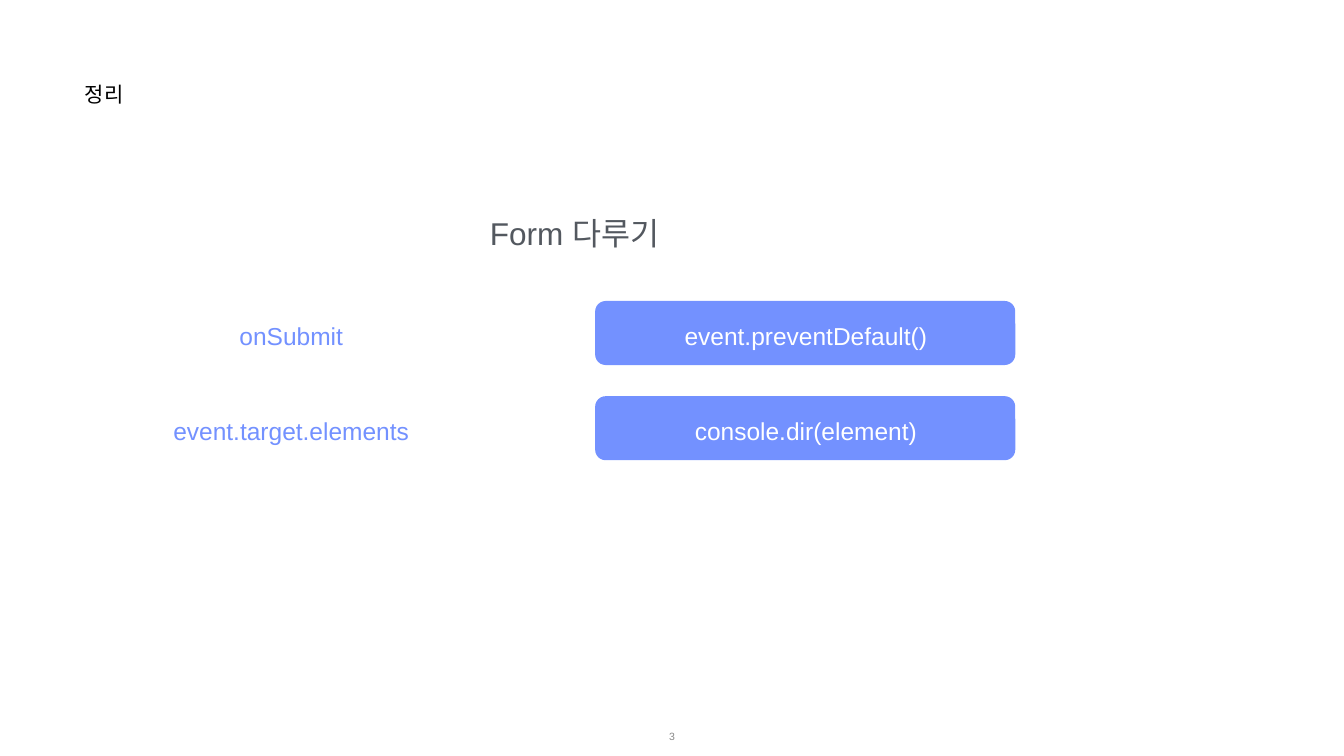
from lxml.etree import SubElement
from pptx import Presentation
from pptx.dml.color import RGBColor
from pptx.enum.shapes import MSO_SHAPE
from pptx.enum.text import MSO_ANCHOR, PP_ALIGN
from pptx.oxml.ns import qn
from pptx.util import Pt

COLORS = {
    "title": "000000",
    "heading": "53585F",
    "accent": "7391FF",
    "white": "FFFFFF",
    "number": "888888",
}
ROWS = [
    ("onSubmit", "event.preventDefault()"),
    ("event.target.elements", "console.dir(element)"),
]
ROW_PITCH = 136


def write(shape, text, size, color, align=PP_ALIGN.CENTER, anchor=MSO_ANCHOR.MIDDLE):
    """Set one paragraph of text in a shape and return the paragraph."""
    frame = shape.text_frame
    frame.word_wrap = True
    frame.vertical_anchor = anchor
    frame.margin_left = frame.margin_right = Pt(1)
    frame.margin_top = frame.margin_bottom = Pt(1)
    frame.text = text
    para = frame.paragraphs[0]
    para.alignment = align
    para.font.name = "Arial"
    para.font.size = Pt(size)
    para.font.bold = False
    para.font.color.rgb = RGBColor.from_string(COLORS[color])
    return para


def add_label(page, box, text, size, color, anchor=MSO_ANCHOR.MIDDLE):
    """Add a centred text box and return its paragraph."""
    label = page.shapes.add_textbox(*map(Pt, box))
    return write(label, text, size, color, anchor=anchor)


def place_title(page, box):
    """Move and format the title placeholder."""
    title = page.shapes.title
    title.left, title.top, title.width, title.height = map(Pt, box)
    para = write(title, "정리", 30, "title", PP_ALIGN.LEFT, MSO_ANCHOR.TOP)
    para.space_before = Pt(0)


def add_button(page, box, text):
    """Add a filled rounded button with its caption."""
    button = page.shapes.add_shape(MSO_SHAPE.ROUNDED_RECTANGLE, *map(Pt, box))
    button.adjustments[0] = 0.164
    button.shadow.inherit = False
    button.fill.solid()
    button.fill.fore_color.rgb = RGBColor.from_string(COLORS["accent"])
    button.line.fill.background()
    write(button, text, 35, "white")
    button.text_frame.margin_top = Pt(8)
    button.text_frame.margin_left = Pt(3)


def add_row(page, box, label, caption):
    """Add a label on the left of the box and a button on its right."""
    left, top, width, height = box
    add_label(page, (left, top + 27, 450, 45), label, 35, "accent")
    add_button(page, (left + width - 600, top, 600, height), caption)


def add_summary(page, box):
    """Add the heading and the rows below it."""
    left, top, width, _ = box
    add_label(page, (left, top, width, 57), "Form 다루기", 45, "heading", MSO_ANCHOR.TOP)
    for index, (label, caption) in enumerate(ROWS):
        row_top = top + 125 + index * ROW_PITCH
        add_row(page, (left, row_top, width, 91.5), label, caption)


def add_page_number(page, box):
    """Add the slide number as a live field."""
    para = add_label(page, box, "", 15, "number")
    field = SubElement(para._p, qn("a:fld"), type="slidenum")
    field.set("id", "{B6F15528-21DE-4FAA-801E-634DDDAF4B2B}")
    properties = SubElement(field, qn("a:rPr"), lang="en-US", sz="1500")
    fill = SubElement(properties, qn("a:solidFill"))
    SubElement(fill, qn("a:srgbClr"), val=COLORS["number"])
    SubElement(properties, qn("a:latin"), typeface="Arial")
    SubElement(field, qn("a:t")).text = "3"


def main():
    """Build the summary slide and save the deck."""
    deck = Presentation()
    deck.slide_width, deck.slide_height = Pt(1919.52), Pt(1080)
    deck.element.set("firstSlideNum", "3")
    page = deck.slides.add_slide(deck.slide_layouts[5])
    place_title(page, (120, 115, 350, 85))
    add_summary(page, (191, 305, 1259, 352))
    add_page_number(page, (744, 1023, 432, 57))
    deck.save("out.pptx")


if __name__ == "__main__":
    main()
